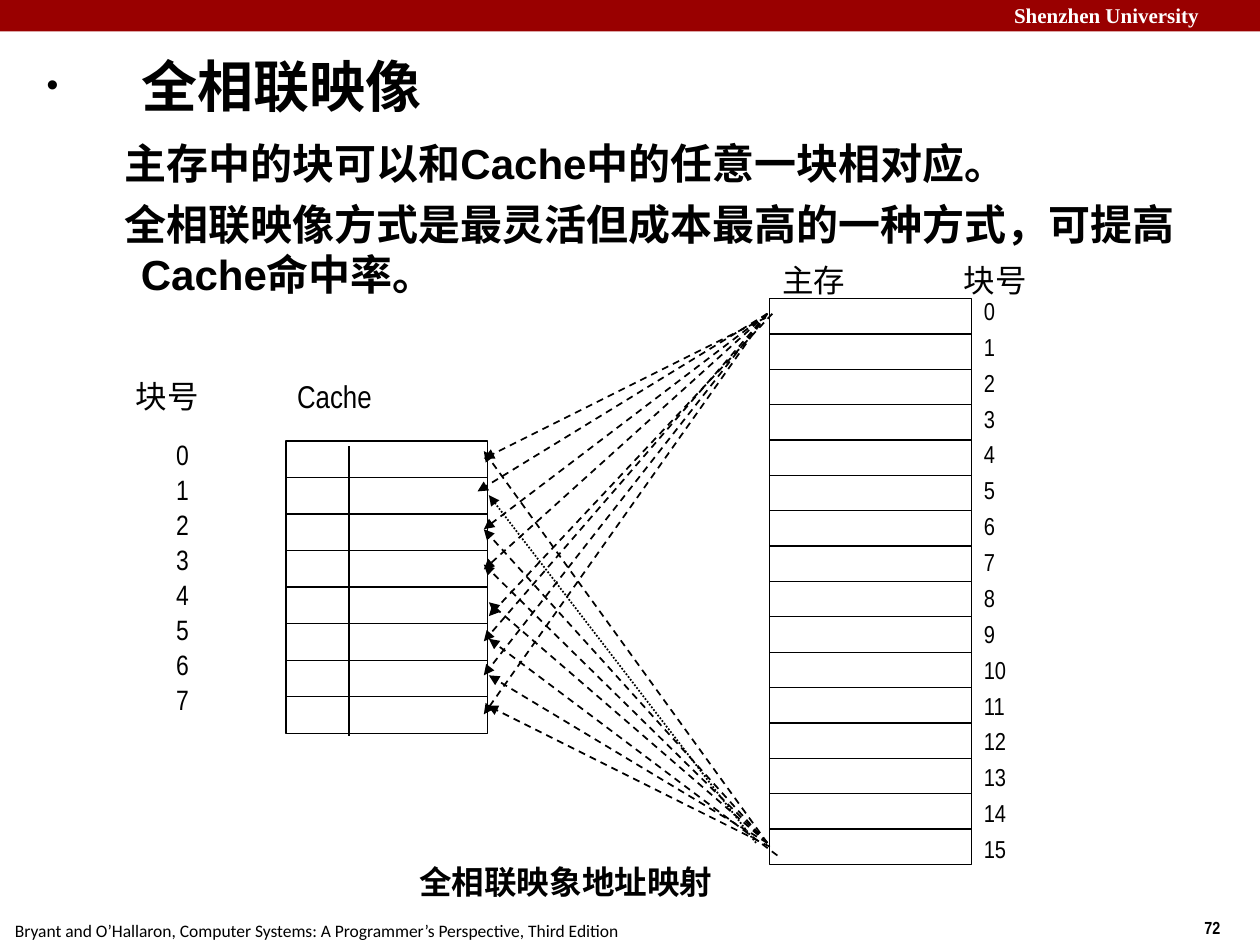
from lxml import etree
from pptx import Presentation, util as u
from pptx.dml.color import RGBColor
from pptx.enum import dml, shapes, text
from pptx.oxml import parse_xml
from pptx.oxml.ns import nsdecls, qn

BLACK, WHITE, RED = "000000", "FFFFFF", "990000"
In = u.Inches


def paint(fill, color):
    fill.solid()
    fill.fore_color.rgb = RGBColor.from_string(color)


def write(sp, content, size, font="Arial Narrow", color=BLACK, bold=False,
          align=text.PP_ALIGN.JUSTIFY, spacing=None, before=0, margin=0, indent=0, wrap=True):
    tf = sp.text_frame
    tf.word_wrap = wrap
    tf.auto_size = text.MSO_AUTO_SIZE.NONE
    tf.vertical_anchor = text.MSO_ANCHOR.TOP
    for i, line in enumerate(content.split("\n")):
        p = tf.paragraphs[0] if i == 0 else tf.add_paragraph()
        p.alignment = align
        p.line_spacing = spacing
        p.space_before = u.Pt(before if i else 0)
        pPr = p._p.get_or_add_pPr()
        pPr.set("marL", str(In(margin)))
        pPr.set("indent", str(In(indent)))
        r = p.add_run()
        r.text = line
        r.font.name, r.font.size, r.font.bold = font, u.Pt(size), bold
        paint(r.font.fill, color)


prs = Presentation()
prs.slide_width, prs.slide_height = In(10), In(7.5)
s = prs.slides.add_slide(prs.slide_layouts[5])
left = text.PP_ALIGN.LEFT

banner = s.shapes.add_shape(shapes.MSO_SHAPE.RECTANGLE, 0, 0, In(10), In(0.25))
banner.shadow.inherit = False
paint(banner.fill, RED)
banner.line.fill.background()

title = s.shapes.title
title.left, title.top, title.width, title.height = In(0.27), In(0.36), In(9.53), In(0.68)
write(title, "全相联映像", 32, font="Arial", bold=True, align=left, spacing=1.0,
      margin=0.75, indent=-0.75)
pPr = title.text_frame.paragraphs[0]._p.get_or_add_pPr()
for xml in (f'<a:buClr {nsdecls("a")}><a:srgbClr val="{BLACK}"/></a:buClr>',
            f'<a:buSzPct {nsdecls("a")} val="60000"/>',
            f'<a:buFont {nsdecls("a")} typeface="Arial"/>',
            f'<a:buChar {nsdecls("a")} char="•"/>'):
    pPr.append(parse_xml(xml))

bold_arial = dict(font="Arial", bold=True)
texts = [
    (7.95, -0.03, 2.12, 0.3, "Shenzhen University", 12,
     dict(font="Times New Roman", color=WHITE, bold=True, align=left)),
    (9.46, 7.23, 0.75, 0.27, "72", 10, dict(bold=True, align=left, wrap=False)),
    (0.02, 7.25, 5.01, 0.27,
     "Bryant and O’Hallaron, Computer Systems: A Programmer’s Perspective, Third Edition",
     10, dict(font="Calibri", align=left, wrap=False)),
    (0.27, 1.04, 9.53, 1.45,
     "主存中的块可以和Cache中的任意一块相对应。\n"
     "全相联映像方式是最灵活但成本最高的一种方式，可提高 Cache命中率。",
     24, dict(bold_arial, align=left, before=6, margin=0.75, indent=-0.13)),
    (3.23, 6.85, 4.16, 0.42, "全相联映象地址映射", 18.6, dict(bold_arial, spacing=0.8)),
    (0.98, 2.94, 1.6, 0.42, "块号", 18, {}),
    (2.26, 2.94, 1.6, 0.42, "Cache", 18, {}),
    (6.11, 2.02, 1.6, 0.42, "主存", 18, {}),
    (7.55, 2.02, 1.6, 0.42, "块号", 18, {}),
]

memories = [
    (8, 2.27, 3.5, 2.32, 1.3, 3.42, 5.37, 16),
    (16, 6.11, 2.37, 4.49, 7.71, 2.3, 6.57, 14),
]
for count, x, top, height, label_x, first, last, size in memories:
    row = height / count
    for i in range(count):
        block = s.shapes.add_shape(shapes.MSO_SHAPE.RECTANGLE,
                                   In(x), In(top + i * row), In(1.6), In(row))
        block.shadow.inherit = False
        block.fill.background()
        paint(block.line.fill, BLACK)
        block.line.width = u.Pt(0.75)
        label_y = first + i * (last - first) / (count - 1)
        texts.append((label_x, label_y, 0.96, 0.42, str(i), size, {}))

for x, y, w, h, content, size, style in texts:
    write(s.shapes.add_textbox(In(x), In(y), In(w), In(h)), content, size, **style)

dash, dot = dml.MSO_LINE.DASH, dml.MSO_LINE.ROUND_DOT
lines = [
    (6.08, 2.52, 3.84, 3.64, dash),
    (6.09, 2.49, 3.79, 3.9, dash),
    (6.09, 2.49, 3.84, 4.2, dash),
    (6.09, 2.49, 3.84, 4.52, dash),
    (6.13, 2.49, 3.88, 4.89, dash),
    (6.09, 2.49, 3.84, 5.09, dash),
    (6.09, 2.49, 3.84, 5.36, dash),
    (6.09, 2.49, 3.84, 5.67, dash),
    (6.11, 6.72, 3.87, 5.6, dash),
    (6.09, 6.69, 3.88, 5.36, dash),
    (6.17, 6.79, 3.88, 5.07, dash),
    (6.09, 6.69, 3.88, 4.78, dash),
    (6.09, 6.69, 3.84, 4.48, dash),
    (6.09, 6.69, 3.84, 4.2, dash),
    (6, 6.69, 3.88, 3.93, dot),
    (6.09, 6.69, 3.84, 3.58, dash),
    (2.77, 3.54, 2.77, 5.84, None),
]
for x1, y1, x2, y2, style in lines:
    c = s.shapes.add_connector(shapes.MSO_CONNECTOR.STRAIGHT, In(x1), In(y1), In(x2), In(y2))
    paint(c.line.fill, BLACK)
    c.line.width = u.Pt(1 if style else 0.75)
    if style:
        c.line.dash_style = style
        etree.SubElement(c.line._get_or_add_ln(), qn("a:tailEnd"), type="triangle")
    etree.SubElement(c._element.spPr, qn("a:effectLst"))

prs.save("out.pptx")
